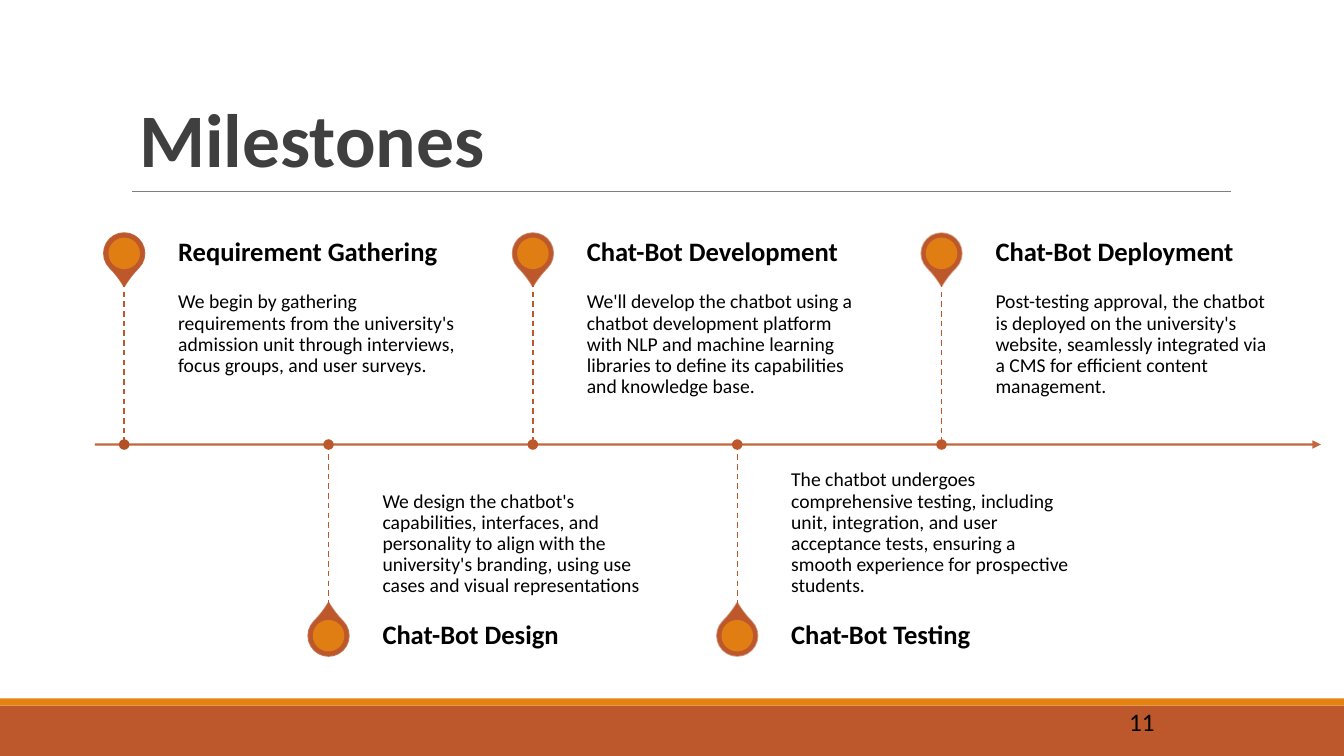
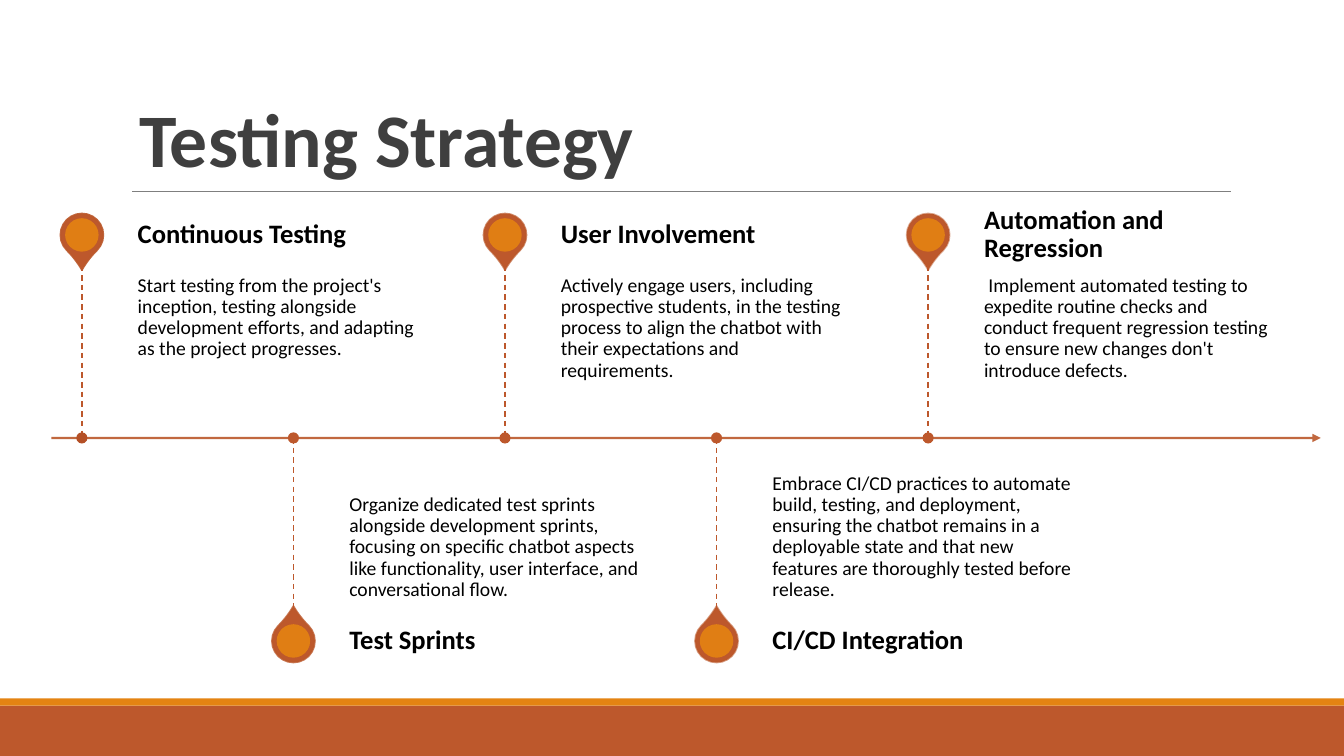
from pptx import Presentation
from pptx.dml.color import RGBColor
from pptx.enum.dml import MSO_LINE
from pptx.enum.shapes import MSO_CONNECTOR, MSO_SHAPE as Shape
from pptx.enum.text import MSO_ANCHOR as Anchor, PP_ALIGN as Align
from pptx.oxml.ns import qn
from pptx.util import Inches, Pt
from lxml.etree import SubElement

WIDE, HIGH = 13.33, 7.5
FONT = "Calibri"
RUST = RGBColor(0xBD, 0x58, 0x2C)
EDGE = RGBColor(0xBB, 0x58, 0x2B)
DEEP = RGBColor(0xB4, 0x50, 0x26)
AMBER = RGBColor(0xE4, 0x83, 0x12)
GREY = RGBColor(0x7F, 0x7F, 0x7F)
DARK = RGBColor(0x3F, 0x3F, 0x3F)
BLACK = RGBColor(0, 0, 0)

TITLE_BOX = (1.28, 0.68, 10.7, 1.19)
PAGE_BOX = (11.1, 6.96, 1.81, 0.39)

MILESTONES = [
    ("Requirement Gathering",
     "We begin by gathering requirements from the university's admission "
     "unit through interviews, focus groups, and user surveys."),
    ("Chat-Bot Design",
     "We design the chatbot's capabilities, interfaces, and personality to "
     "align with the university's branding, using use cases and visual "
     "representations"),
    ("Chat-Bot Development",
     "We'll develop the chatbot using a chatbot development platform with "
     "NLP and machine learning libraries to define its capabilities and "
     "knowledge base."),
    ("Chat-Bot Testing",
     "The chatbot undergoes comprehensive testing, including unit, "
     "integration, and user acceptance tests, ensuring a smooth experience "
     "for prospective students."),
    ("Chat-Bot Deployment",
     "Post-testing approval, the chatbot is deployed on the university's "
     "website, seamlessly integrated via a CMS for efficient content "
     "management."),
]
STRATEGY = [
    ("Continuous Testing",
     "Start testing from the project's inception, testing alongside "
     "development efforts, and adapting as the project progresses."),
    ("Test Sprints",
     "Organize dedicated test sprints alongside development sprints, "
     "focusing on specific chatbot aspects like functionality, user "
     "interface, and conversational flow."),
    ("User Involvement",
     "Actively engage users, including prospective students, in the testing "
     "process to align the chatbot with their expectations and "
     "requirements."),
    ("CI/CD Integration",
     "Embrace CI/CD practices to automate build, testing, and deployment, "
     "ensuring the chatbot remains in a deployable state and that new "
     "features are thoroughly tested before release."),
    ("Automation and Regression",
     " Implement automated testing to expedite routine checks and conduct "
     "frequent regression testing to ensure new changes don't introduce "
     "defects."),
]


def inch(box):
    return [Inches(v) for v in box]


def fade(shape, part, share):
    """Set the opacity of the colour found below part, in percent."""
    color = shape.element.spPr.find(f"{part}//{qn('a:srgbClr')}")
    SubElement(color, qn("a:alpha")).set("val", str(share * 1000))


def block(shapes, kind, box, fill):
    shape = shapes.add_shape(kind, *inch(box))
    shape.shadow.inherit = False
    shape.fill.solid()
    shape.fill.fore_color.rgb = fill
    shape.line.fill.background()
    return shape


def disc(shapes, x, y, size, fill):
    box = (x - size / 2, y - size / 2, size, size)
    return block(shapes, Shape.OVAL, box, fill)


def rule(shapes, start, end, color, width):
    line = shapes.add_connector(MSO_CONNECTOR.STRAIGHT, *inch(start + end))
    line.line.color.rgb = color
    line.line.width = Pt(width)
    SubElement(line.element.spPr, qn("a:effectLst"))
    return line


def style(para, size, color=BLACK, bold=False, space=0.9):
    para.alignment = Align.LEFT
    para.line_spacing = space
    font = para.font
    font.name, font.size, font.bold = FONT, Pt(size), bold
    font.color.rgb = color


def write(shapes, box, text, size, anchor=Anchor.TOP,
          pads=(0.1, 0.05, 0.1, 0.05), **look):
    frame = shapes.add_textbox(*inch(box)).text_frame
    frame.word_wrap = True
    frame.vertical_anchor = anchor
    (frame.margin_left, frame.margin_top,
     frame.margin_right, frame.margin_bottom) = inch(pads)
    frame.text = text
    style(frame.paragraphs[0], size, **look)


def dress(layout, slide):
    """Give the layout its title box, bands and title rule."""
    title = layout.placeholders[0]
    title.left, title.top, title.width, title.height = inch(TITLE_BOX)
    shapes = slide.shapes
    parts = [
        block(shapes, Shape.RECTANGLE, (0, 7, WIDE, 0.5), RUST),
        block(shapes, Shape.RECTANGLE, (0, 6.93, WIDE, 0.07), AMBER),
        rule(shapes, (1.31, 1.9), (12.21, 1.9), GREY, 0.75),
    ]
    for num, part in enumerate(parts, 20):
        part.element.xpath(".//p:cNvPr")[0].set("id", str(num))
        layout.shapes.element.append(part.element)


def head(slide, text):
    frame = slide.shapes.title.text_frame
    frame.text = text
    frame.word_wrap = True
    frame.vertical_anchor = Anchor.BOTTOM
    style(frame.paragraphs[0], 54, DARK, True, 0.85)


def pin(shapes, x, y, size, turn, share):
    """Draw a map pin centred on x, y."""
    box = (x - size / 2, y - size / 2, size, size)
    drop = block(shapes, Shape.TEAR, box, RUST)
    drop.adjustments[0] = 1.15
    drop.rotation = turn
    drop.line.color.rgb = EDGE
    drop.line.width = Pt(1.25)
    fade(drop, qn("a:ln"), share)
    fade(disc(shapes, x, y, size * 0.78, AMBER), qn("a:solidFill"), 90)


def step(shapes, num, x, box, name, text):
    """Draw one stop: even ones above the axis, odd ones below."""
    left, top, wide, high = box
    axis, band = top + high / 2, high * 0.13
    body = high / 2 - band
    text_x, text_w = x + wide * 0.044, wide * 0.236
    if num % 2:
        body_y, name_y, turn = axis, axis + body, 315
        far, anchor, pads = name_y, Anchor.BOTTOM, (0, 0.15, 0, 0.1)
    else:
        body_y, name_y, turn = top + band, top, 135
        far, anchor, pads = body_y, Anchor.TOP, (0, 0.1, 0.1, 0.15)
    pin(shapes, x, name_y + band / 2, high * 0.092, turn, 90 - 10 * num)
    write(shapes, (text_x, body_y, text_w, body), text, 14, anchor, pads)
    write(shapes, (text_x, name_y, text_w, band), name, 19, Anchor.MIDDLE,
          (0, 0, 0.13, 0), bold=True)
    ends = sorted([far, axis])
    dash = rule(shapes, (x, ends[0]), (x, ends[1]), RUST, 1)
    dash.line.dash_style = MSO_LINE.DASH
    disc(shapes, x, axis, high * 0.024, RUST if num else DEEP)


def timeline(slide, box, stops):
    left, top, wide, high = box
    shapes = slide.shapes.add_group_shape().shapes
    axis = top + high / 2
    arrow = rule(shapes, (left, axis), (left + wide, axis), EDGE, 1.5)
    fade(arrow, qn("a:ln"), 90)
    SubElement(arrow.line._get_or_add_ln(), qn("a:tailEnd")).set(
        "type", "triangle")
    gap = wide / (len(stops) + 1)
    for num, (name, text) in enumerate(stops):
        step(shapes, num, left + wide * 0.024 + num * gap, box, name, text)


def main():
    deck = Presentation()
    deck.slide_width, deck.slide_height = inch((WIDE, HIGH))
    layout = deck.slide_layouts[5]
    pages = [
        ("Milestones", (0.94, 2.23, 12.16, 4.36), MILESTONES, "11"),
        ("Testing Strategy", (0.51, 2.03, 12.59, 4.63), STRATEGY, None),
    ]
    for num, (title, box, stops, page) in enumerate(pages):
        slide = deck.slides.add_slide(layout)
        if num == 0:
            dress(layout, slide)
        head(slide, title)
        timeline(slide, box, stops)
        if page:
            write(slide.shapes, PAGE_BOX, page, 18, space=1.0)
    deck.save("out.pptx")


if __name__ == "__main__":
    main()
